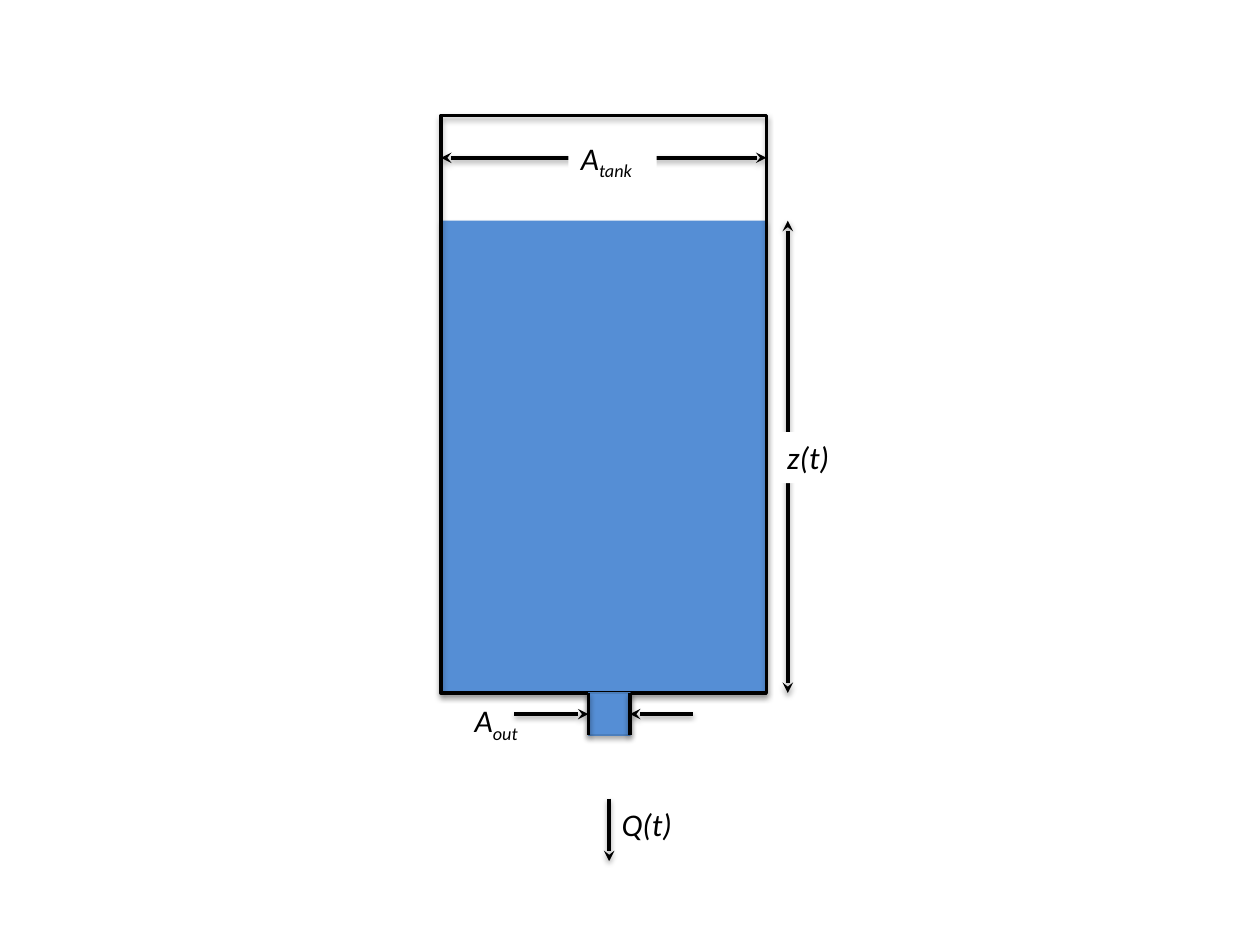
from lxml.etree import SubElement as Sub
from pptx import Presentation
from pptx.dml.color import RGBColor as Rgb
from pptx.enum.shapes import MSO_CONNECTOR as Conn, MSO_SHAPE as Form
from pptx.enum.text import MSO_AUTO_SIZE as Fit
from pptx.oxml.ns import qn
from pptx.util import Cm, Pt

BLACK, WHITE, WATER, EDGE = "000000", "FFFFFF", "558ED5", "4B7EBC"

LEFT, RIGHT = 8.89, 15.45
TOP, LEVEL, BASE, END = 2.33, 4.45, 13.97, 14.82
PIPE_L, PIPE_R = 11.86, 12.7
MID = (PIPE_L + PIPE_R) / 2
GAP = (BASE + END) / 2
SPAN, DEPTH, FLOW = 3.18, 15.88, 16.1

BOXES = [
    ((LEFT, LEVEL, RIGHT, BASE), WATER, None, 0),
    ((LEFT, TOP, RIGHT, BASE), None, BLACK, 2),
    ((PIPE_L, BASE, PIPE_R, END), WATER, EDGE, 0.75),
]
LINES = [
    ((PIPE_L, BASE, PIPE_L, END), ()),
    ((PIPE_R, BASE, PIPE_R, END), ()),
    ((LEFT, SPAN, RIGHT, SPAN), ("headEnd", "tailEnd")),
    ((PIPE_R, GAP, 13.97, GAP), ("headEnd",)),
    ((10.37, GAP, PIPE_L, GAP), ("tailEnd",)),
    ((MID, FLOW, MID, 17.36), ("tailEnd",)),
    ((DEPTH, LEVEL, DEPTH, BASE), ("headEnd", "tailEnd")),
]
LABELS = [
    ("A", "tank", (11.46, 2.67, 1.78), WHITE),
    ("A", "out", (9.32, 14, 1.57), None),
    ("z(t)", "", (15.62, 8.71, 1.52), WHITE),
    ("Q(t)", "", (MID, FLOW, 1.7), None),
]


def color(code):
    return Rgb.from_string(code)


def paint(fill, code):
    if code:
        fill.solid()
        fill.fore_color.rgb = color(code)
    else:
        fill.background()


def stroke(line, code, width):
    paint(line.fill, code)
    if code:
        line.width = Pt(width)


def shade(item, alpha, dist):
    props = item._element.spPr
    glow = Sub(Sub(props, qn("a:effectLst")), qn("a:outerShdw"),
               blurRad=str(Pt(3.15)), dist=str(Pt(dist)),
               dir="5400000", rotWithShape="0")
    tint = Sub(glow, qn("a:srgbClr"), val=BLACK)
    Sub(tint, qn("a:alpha"), val=str(alpha * 1000))


def box(shapes, edges, fill, line, width):
    x, y, right, low = edges
    item = shapes.add_shape(Form.RECTANGLE, Cm(x), Cm(y), Cm(right - x), Cm(low - y))
    paint(item.fill, fill)
    stroke(item.line, line, width)
    shade(item, 35, 1.8)


def arrow(shapes, ends, tips):
    item = shapes.add_connector(Conn.STRAIGHT, *map(Cm, ends))
    stroke(item.line, BLACK, 2)
    line = item._element.spPr.find(qn("a:ln"))
    for tip in tips:
        Sub(line, qn("a:" + tip), type="stealth")
    shade(item, 38, 1.6)


def write(para, text, size=18, font="Calibri", ink=BLACK, italic=True, shift=0):
    run = para.add_run()
    run.text = text
    run.font.size, run.font.name, run.font.italic = Pt(size), font, italic
    run.font.color.rgb = color(ink)
    if shift:
        run._r.get_or_add_rPr().set("baseline", str(shift * 1000))


def label(shapes, name, sub, place, fill):
    x, y, width = place
    item = shapes.add_textbox(Cm(x), Cm(y), Cm(width), Cm(1.03))
    paint(item.fill, fill)
    frame = item.text_frame
    frame.word_wrap = False
    frame.auto_size = Fit.SHAPE_TO_FIT_TEXT
    write(frame.paragraphs[0], name)
    if sub:
        write(frame.paragraphs[0], sub, shift=-25)


deck = Presentation()
deck.slide_width, deck.slide_height = Cm(25.4), Cm(19.05)
shapes = deck.slides.add_slide(deck.slide_layouts[6]).shapes
for draw, rows in ((box, BOXES), (arrow, LINES), (label, LABELS)):
    for row in rows:
        draw(shapes, *row)
deck.save("out.pptx")
